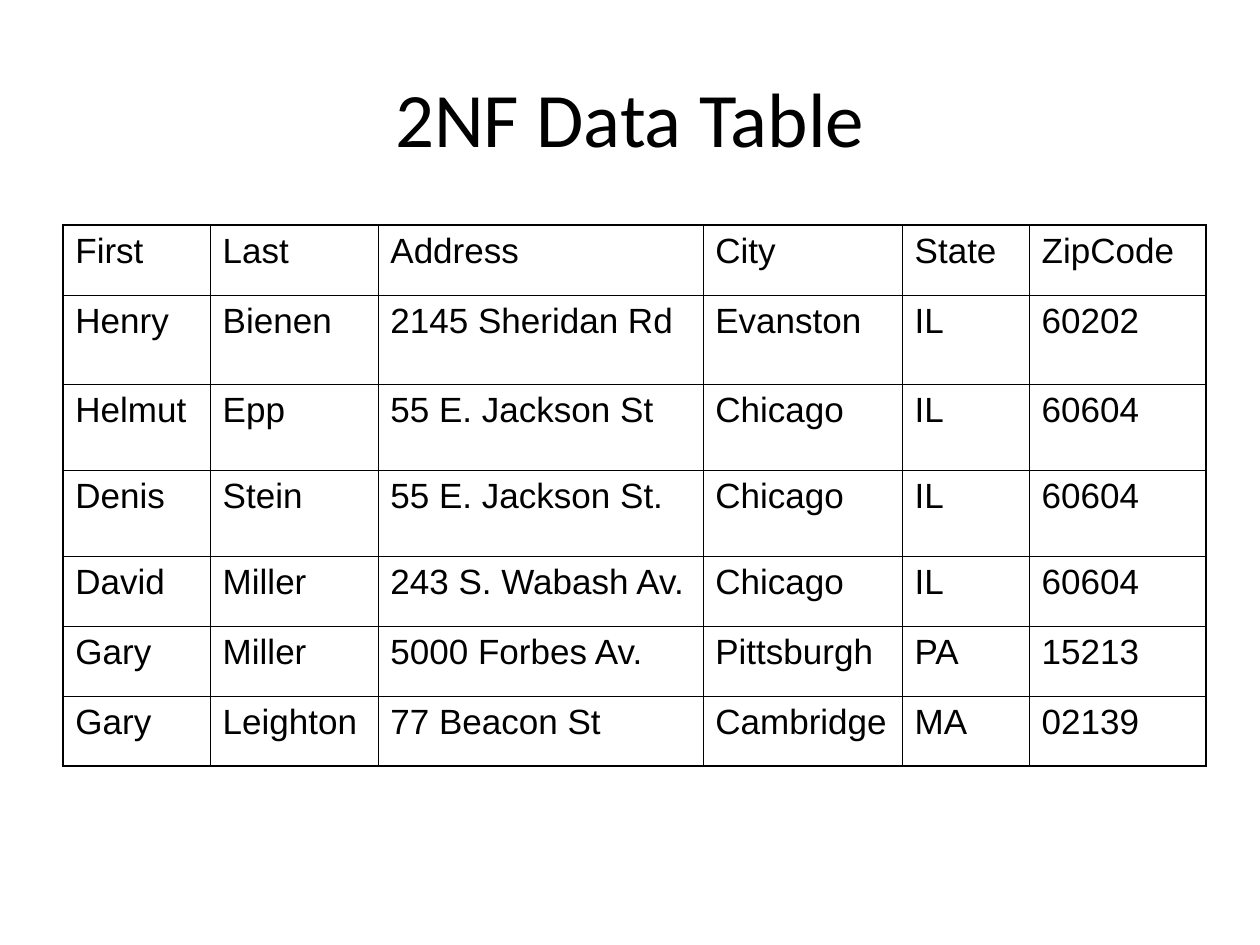
import pptx
import pptx.dml.color
import pptx.enum.text
import pptx.oxml
import pptx.oxml.ns
import pptx.util

Cm, Pt = pptx.util.Cm, pptx.util.Pt

# Content
HEADING = "2NF Data Table"
PEOPLE = [
    ("First", "Last", "Address", "City", "State", "ZipCode"),
    ("Henry", "Bienen", "2145 Sheridan Rd", "Evanston", "IL", "60202"),
    ("Helmut", "Epp", "55 E. Jackson St", "Chicago", "IL", "60604"),
    ("Denis", "Stein", "55 E. Jackson St.", "Chicago", "IL", "60604"),
    ("David", "Miller", "243 S. Wabash Av.", "Chicago", "IL", "60604"),
    ("Gary", "Miller", "5000 Forbes Av.", "Pittsburgh", "PA", "15213"),
    ("Gary", "Leighton", "77 Beacon St", "Cambridge", "MA", "02139"),
]

# Sizes in cm, rules in points
COLUMN_WIDTHS = [2.97, 3.38, 6.55, 4.02, 2.56, 3.56]
ROW_HEIGHTS = [1.41, 1.8, 1.73, 1.73, 1.41, 1.41, 1.41]
OUTER_RULE, INNER_RULE = 1.08, 0.45
BLACK = "000000"

# Formats
HEADING_FONT = {"name": "Calibri", "size": Pt(44)}
CELL_FONT = {"name": "Arial", "size": Pt(20), "bold": False}
HEADING_FRAME = {"word_wrap": True,
                 "vertical_anchor": pptx.enum.text.MSO_ANCHOR.MIDDLE}
CELL_FORMAT = {"margin_left": Cm(0.25), "margin_right": Cm(0.25),
               "margin_top": Cm(0.13), "margin_bottom": Cm(0.13),
               "vertical_anchor": pptx.enum.text.MSO_ANCHOR.TOP}


def apply(target, values):
    for name, value in values.items():
        setattr(target, name, value)


def colour(hex_value):
    return pptx.dml.color.RGBColor.from_string(hex_value)


def write(frame, text, font):
    paragraph = frame.paragraphs[0]
    line = paragraph.add_run()
    line.text = text
    apply(line.font, font)
    line.font.color.rgb = colour(BLACK)
    return paragraph


def rule_cell(cell, widths):
    """Draw the borders, which must stand before the fill in the cell."""
    properties = cell._tc.get_or_add_tcPr()
    for place, (side, width) in enumerate(widths.items()):
        properties.insert(place, pptx.oxml.parse_xml(
            f'<a:ln{side} {pptx.oxml.ns.nsdecls("a")} w="{int(Pt(width))}">'
            f'<a:solidFill><a:srgbClr val="{BLACK}"/></a:solidFill>'
            f'</a:ln{side}>'))


def main():
    deck = pptx.Presentation()
    deck.slide_width, deck.slide_height = Cm(25.4), Cm(19.05)
    slide = deck.slides.add_slide(deck.slide_layouts[6])

    # Heading
    heading = slide.shapes.add_textbox(Cm(1.27), Cm(0.76), Cm(22.86), Cm(3.18))
    apply(heading.text_frame, HEADING_FRAME)
    heading_line = write(heading.text_frame, HEADING, HEADING_FONT)
    heading_line.alignment = pptx.enum.text.PP_ALIGN.CENTER

    # Table grid
    people = slide.shapes.add_table(
        len(PEOPLE), len(COLUMN_WIDTHS), Cm(1.27), Cm(4.54),
        Cm(sum(COLUMN_WIDTHS)), Cm(sum(ROW_HEIGHTS))).table
    apply(people, {"first_row": False, "horz_banding": False})
    for column, width in zip(people.columns, COLUMN_WIDTHS):
        column.width = Cm(width)
    for row, height in zip(people.rows, ROW_HEIGHTS):
        row.height = Cm(height)

    # Cells, with heavier rules around the outside
    last_row, last_column = len(PEOPLE) - 1, len(COLUMN_WIDTHS) - 1
    for r, person in enumerate(PEOPLE):
        for c, entry in enumerate(person):
            cell = people.cell(r, c)
            apply(cell, CELL_FORMAT)
            write(cell.text_frame, entry, CELL_FONT)
            cell.fill.background()
            outer = {"L": c == 0, "R": c == last_column,
                     "T": r == 0, "B": r == last_row}
            rule_cell(cell, {side: OUTER_RULE if edge else INNER_RULE
                             for side, edge in outer.items()})

    deck.save("out.pptx")


if __name__ == "__main__":
    main()
